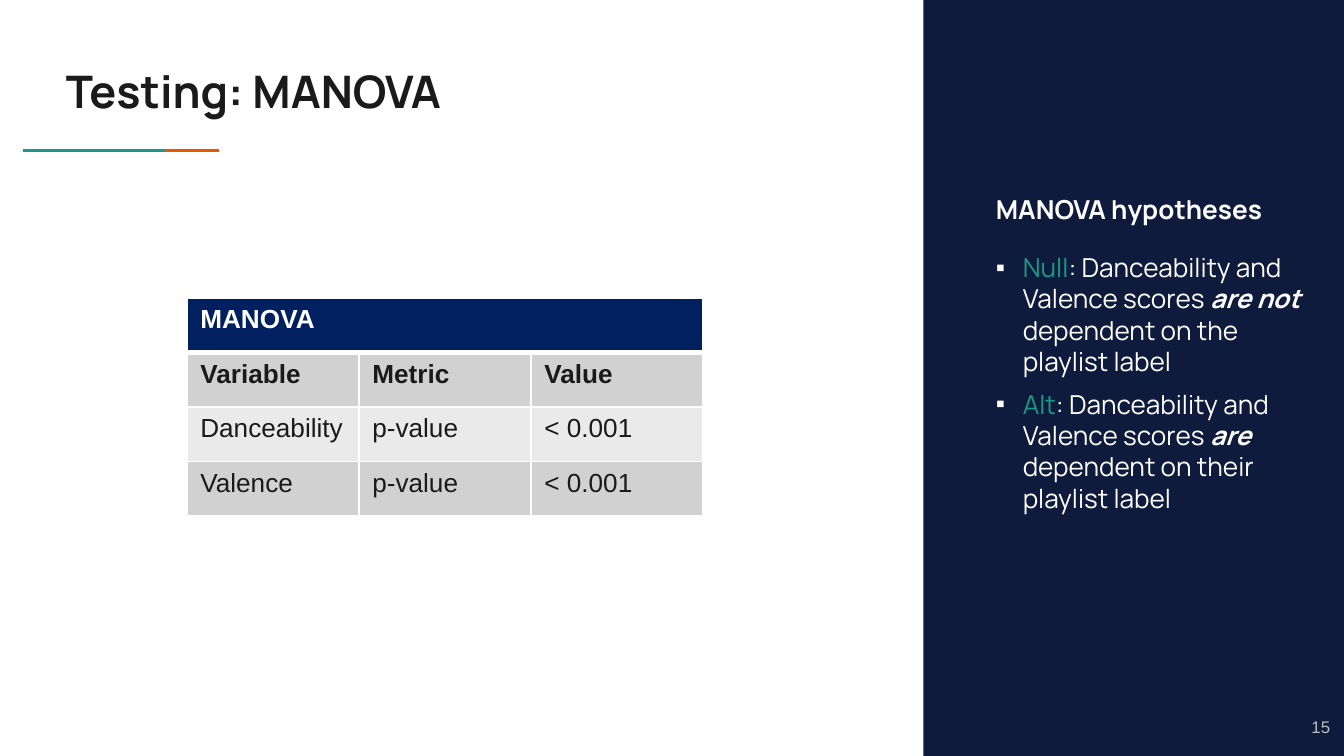
from lxml import etree
from pptx import Presentation
from pptx.dml.color import RGBColor
from pptx.enum.shapes import MSO_SHAPE
from pptx.enum.text import MSO_ANCHOR
from pptx.oxml.ns import qn
from pptx.util import Inches, Pt

RECTANGLE = MSO_SHAPE.RECTANGLE
TOP, MIDDLE = MSO_ANCHOR.TOP, MSO_ANCHOR.MIDDLE
WHITE, INK, TEAL, ORANGE = "FFFFFF", "1A1A1A", "1A9988", "EB5600"
NAVY, HEADER_BLUE, GREY, LIGHT_GREY = "0E1B3C", "002060", "D1D1D1", "EAEAEA"
BODY = {"name": "Manrope", "size": Pt(14), "color": WHITE}
TABLE_TEXT = {"name": "Arial", "size": Pt(14), "color": INK}
STRONG = {"bold": True, "italic": True}

HYPOTHESES = [
    [("Null", {"color": TEAL}), (": Danceability and Valence scores ", {}),
     ("are not ", STRONG), ("dependent on the playlist label", {})],
    [("Alt", {"color": TEAL}), (": Danceability and Valence scores ", {}),
     ("are", STRONG), (" dependent on their playlist label", {})],
]
RESULTS = [
    ["MANOVA", "", ""],
    ["Variable", "Metric", "Value"],
    ["Danceability", "p-value", "< 0.001"],
    ["Valence", "p-value", "< 0.001"],
]
ROW_FILLS = [HEADER_BLUE, GREY, LIGHT_GREY, GREY]


def rgb(value):
    """Return the colour for a hex string."""
    return RGBColor.from_string(value)


def add_span(para, text, **formats):
    """Add a run of text with the given font values."""
    span = para.add_run()
    span.text = text
    span.font.color.rgb = rgb(formats.pop("color"))
    for name, value in formats.items():
        setattr(span.font, name, value)


def add_bar(page, left, top, width, height, color):
    """Add a plain filled rectangle."""
    bar = page.shapes.add_shape(RECTANGLE, *map(Inches, (left, top, width, height)))
    bar.shadow.inherit = False
    bar.fill.solid()
    bar.fill.fore_color.rgb = rgb(color)
    bar.line.fill.background()


def add_box(page, left, top, width, height, margins, wrap=True, anchor=TOP):
    """Add an empty text box and return its text frame."""
    box = page.shapes.add_textbox(*map(Inches, (left, top, width, height)))
    frame = box.text_frame
    frame.word_wrap = wrap
    frame.vertical_anchor = anchor
    for side, margin in zip(("left", "top", "right", "bottom"), margins):
        setattr(frame, f"margin_{side}", Inches(margin))
    return frame


def set_bullet(para, indent, color, character):
    """Give a paragraph a hanging bullet."""
    properties = para._p.get_or_add_pPr()
    properties.set("marL", str(Inches(indent)))
    properties.set("indent", str(-Inches(indent)))
    bullet_color = etree.SubElement(properties, qn("a:buClr"))
    etree.SubElement(bullet_color, qn("a:srgbClr"), val=color)
    etree.SubElement(properties, qn("a:buFont"), typeface="Arial")
    etree.SubElement(properties, qn("a:buChar"), char=character)


def add_hypotheses(page):
    """Add the bulleted hypotheses in the side panel."""
    frame = add_box(page, 7.41, 1.87, 2.42, 1.97, (0, 0, 0, 0))
    for index, parts in enumerate(HYPOTHESES):
        para = frame.add_paragraph() if index else frame.paragraphs[0]
        para.space_before = para.space_after = Pt(3)
        set_bullet(para, 0.2, WHITE, "▪")
        for text, formats in parts:
            add_span(para, text, **{**BODY, **formats})


def set_borders(cell, widths):
    """Draw white borders on a cell, with widths in points by side."""
    properties = cell._tc.get_or_add_tcPr()
    for index, (side, width) in enumerate(widths.items()):
        line = etree.Element(qn(f"a:ln{side}"), w=str(Pt(width)))
        fill = etree.SubElement(line, qn("a:solidFill"))
        etree.SubElement(fill, qn("a:srgbClr"), val=WHITE)
        properties.insert(index, line)


def add_results(page):
    """Add the table of test results."""
    area = map(Inches, (1.39, 2.22, 3.84, 1.62))
    table = page.shapes.add_table(len(RESULTS), 3, *area).table
    table.cell(0, 0).merge(table.cell(0, 2))
    for row, (texts, color) in enumerate(zip(RESULTS, ROW_FILLS)):
        formats = {**TABLE_TEXT, "bold": row < 2}
        if row == 0:
            formats["color"] = WHITE
        widths = {"L": 1, "R": 1, "T": 3 if row == 1 else 1, "B": 3 if row == 0 else 1}
        for column, text in enumerate(texts):
            cell = table.cell(row, column)
            cell.fill.solid()
            cell.fill.fore_color.rgb = rgb(color)
            set_borders(cell, widths)
            if text:
                add_span(cell.text_frame.paragraphs[0], text, **formats)


def main():
    """Build the slide and save the deck."""
    deck = Presentation()
    deck.slide_width = Inches(10)
    deck.slide_height = deck.slide_width * 9 // 16
    page = deck.slides.add_slide(deck.slide_layouts[6])

    add_bar(page, 0.57, 1.11, 1.06, 0.02, ORANGE)
    add_bar(page, 0.17, 1.11, 1.06, 0.02, TEAL)
    add_bar(page, 6.87, 0, 3.13, deck.slide_height.inches, NAVY)

    title = add_box(page, 0.49, 0.38, 5.66, 0.59, (0, 0.1, 0.1, 0.1), anchor=MIDDLE)
    add_span(title.paragraphs[0], "Testing: MANOVA", name="Manrope",
             size=Pt(24), color=INK, bold=True)
    heading = add_box(page, 7.41, 1.44, 2.42, 0.31, (0, 0, 0, 0))
    add_span(heading.paragraphs[0], "MANOVA hypotheses", **BODY, bold=True)
    add_hypotheses(page)
    add_results(page)
    number = add_box(page, 9.66, 5.28, 0.34, 0.25, (0.1, 0.05, 0.1, 0.05), wrap=False)
    add_span(number.paragraphs[0], "15", name="Arial", size=Pt(9), color="BDBDBD")

    deck.save("out.pptx")


if __name__ == "__main__":
    main()
